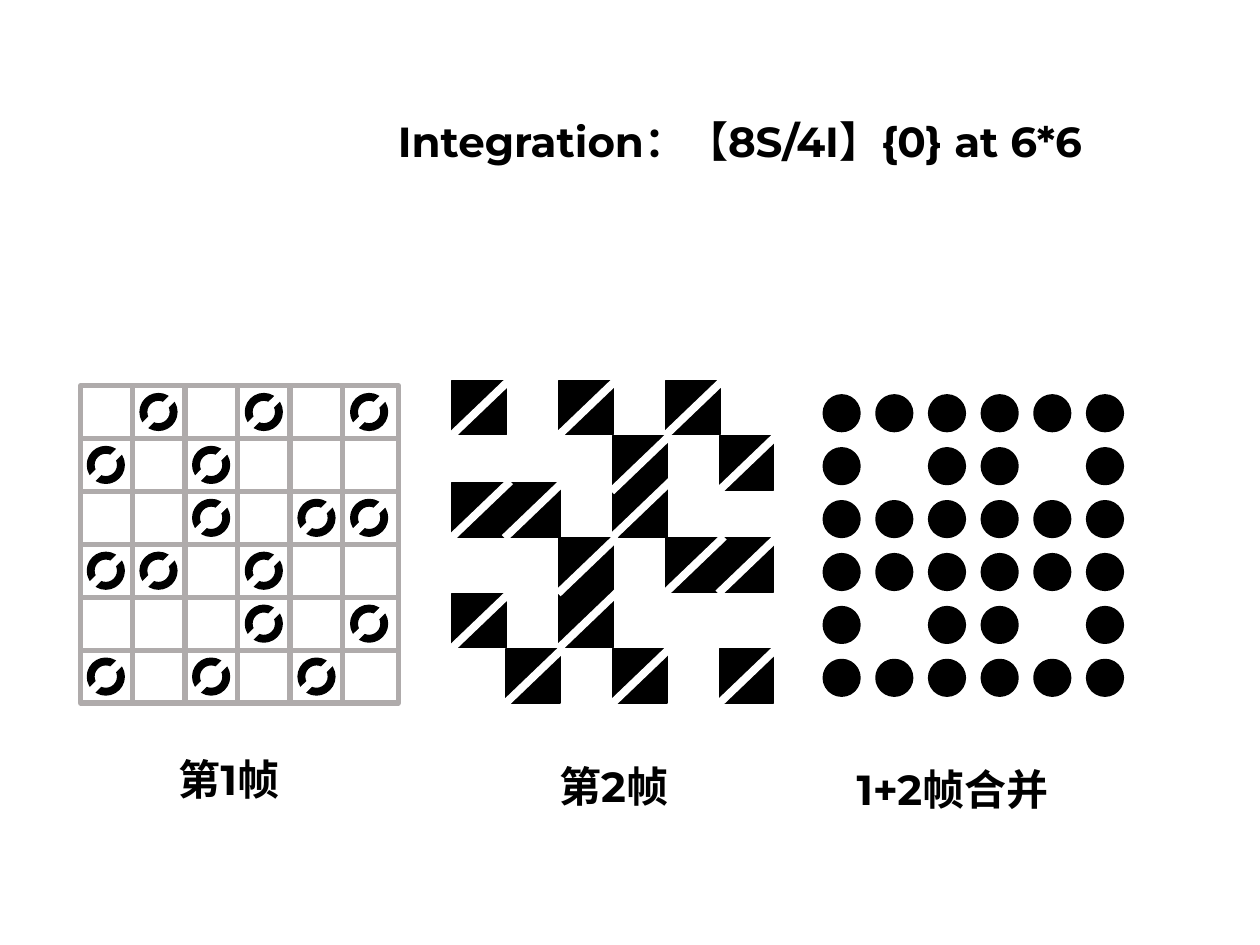
from lxml import etree
from pptx import Presentation
from pptx.dml.color import RGBColor
from pptx.enum.shapes import MSO_CONNECTOR, MSO_SHAPE
from pptx.enum.text import MSO_AUTO_SIZE
from pptx.oxml.ns import qn
from pptx.util import Inches, Pt

RECTANGLE, OVAL = MSO_SHAPE.RECTANGLE, MSO_SHAPE.OVAL
STRAIGHT = MSO_CONNECTOR.STRAIGHT
GROW = MSO_AUTO_SIZE.SHAPE_TO_FIT_TEXT
BLACK, WHITE, GREY = "000000", "FFFFFF", "AFABAB"
FONT = "Montserrat"
CELLS = 6
DOT = 0.24
SQUARE = 0.43

# The second frame is the first upside down; the merge holds the cells of both
FRAME_1 = [".#.#.#", "#.#...", "..#.##", "##.#..", "...#.#", "#.#.#."]
FRAME_2 = FRAME_1[::-1]
MERGED = ["".join(max(pair, key=lambda mark: mark == "#") for pair in zip(*rows))
          for rows in zip(FRAME_1, FRAME_2)]


def color(hex_value):
    return RGBColor.from_string(hex_value)


def even(first, last, count=CELLS):
    step = (last - first) / (count - 1)
    return [first + step * i for i in range(count)]


def marked(pattern, columns, rows):
    """Positions of the filled cells of a pattern."""
    return [(x, y) for y, marks in zip(rows, pattern)
            for x, mark in zip(columns, marks) if mark == "#"]


def add_box(shapes, kind, x, y, size, fill, line, width):
    box = shapes.add_shape(kind, Inches(x), Inches(y), Inches(size), Inches(size))
    box.shadow.inherit = False
    if fill:
        box.fill.solid()
        box.fill.fore_color.rgb = color(fill)
    else:
        box.fill.background()
    box.line.color.rgb = color(line)
    box.line.width = Pt(width)


def add_line(shapes, x1, y1, x2, y2, line, width):
    stroke = shapes.add_connector(STRAIGHT, Inches(x1), Inches(y1), Inches(x2), Inches(y2))
    stroke.line.color.rgb = color(line)
    stroke.line.width = Pt(width)
    etree.SubElement(stroke._element.spPr, qn("a:effectLst"))


def add_label(shapes, words, x, y, width):
    label = shapes.add_textbox(Inches(x), Inches(y), Inches(width), Inches(0.5))
    frame = label.text_frame
    frame.word_wrap = True
    frame.auto_size = GROW
    frame.text = words
    font = frame.paragraphs[0].runs[0].font
    font.name, font.size, font.bold = FONT, Pt(24), True
    font.color.rgb = color(BLACK)


def add_lattice(shapes, left, top, side):
    add_box(shapes, RECTANGLE, left, top, side, WHITE, GREY, 3)
    for x in even(1.05, 2.72, CELLS - 1):
        add_line(shapes, x, top, x, top + side, GREY, 3)
    for y in even(3.48, 5.16, CELLS - 1):
        add_line(shapes, left, y, left + side, y, GREY, 3)


def add_split_ring(shapes, x, y):
    ring = shapes.add_group_shape().shapes
    add_box(ring, OVAL, x, y, DOT, None, BLACK, 4.5)
    add_line(ring, x + DOT, y, x, y + DOT, WHITE, 4.5)


def main():
    prs = Presentation()
    prs.slide_width, prs.slide_height = Inches(10), Inches(7.5)
    shapes = prs.slides.add_slide(prs.slide_layouts[6]).shapes

    # Frame 1: split rings in a lattice
    add_lattice(shapes, 0.64, 3.06, 2.52)
    for x, y in marked(FRAME_1, even(0.72, 2.81), even(3.15, 5.25)):
        add_split_ring(shapes, x, y)

    # Title and captions
    add_label(shapes, "第1帧", 1.32, 5.93, 1.2)
    add_label(shapes, "第2帧", 4.34, 5.99, 1.2)
    add_label(shapes, "1+2帧合并", 6.7, 6.01, 2.23)
    add_label(shapes, "Integration：【8S/4I】{0} at 6*6", 3.06, 0.87, 6.59)

    # Both frames merged: solid dots
    for x, y in marked(MERGED, even(6.56, 8.65), even(3.16, 5.26)):
        add_box(shapes, OVAL, x, y, DOT, BLACK, BLACK, 4.5)

    # Frame 2: black squares, then the white slashes over them
    cells = marked(FRAME_2, even(3.59, 5.71), [3.02, 3.46, 3.83, 4.27, 4.71, 5.15])
    squares = shapes.add_group_shape().shapes
    for x, y in cells:
        add_box(squares, RECTANGLE, x, y, SQUARE, BLACK, BLACK, 1)
    for x, y in cells:
        add_line(shapes, x + 0.46, y - 0.01, x - 0.01, y + 0.44, WHITE, 4.5)

    prs.save("out.pptx")


if __name__ == "__main__":
    main()
